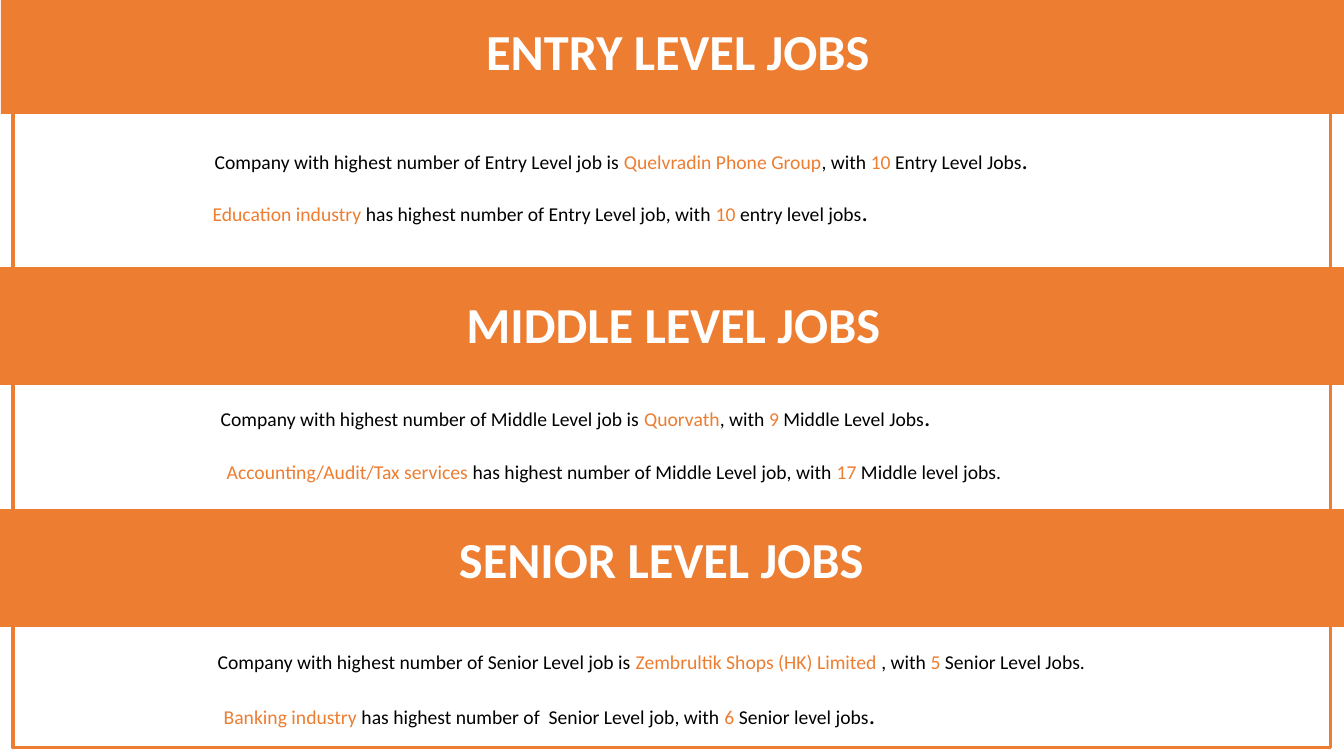
import pptx
import pptx.dml.color
import pptx.enum.shapes
import pptx.enum.text
import pptx.util

Inches = pptx.util.Inches
Pt = pptx.util.Pt
COLORS = {"accent": "ED7D31", "white": "FFFFFF", "text": "000000"}


class JobSlide:
    """Holds the style and the slide, with a method for each kind of element."""

    font = "Calibri"
    heading_size = 36
    body_size = 14
    stop_size = 18

    def __init__(self, prs):
        self.s = prs.slides.add_slide(prs.slide_layouts[5])

    def color(self, name):
        return pptx.dml.color.RGBColor.from_string(COLORS[name])

    def style(self, r, size, color, bold=False):
        r.font.name = self.font
        r.font.size = Pt(size)
        r.font.bold = bold
        r.font.color.rgb = self.color(color)

    def rect(self, left, top, width, height, fill, line=None):
        sp = self.s.shapes.add_shape(
            pptx.enum.shapes.MSO_SHAPE.RECTANGLE,
            Inches(left), Inches(top), Inches(width), Inches(height))
        sp.shadow.inherit = False
        sp.fill.solid()
        sp.fill.fore_color.rgb = self.color(fill)
        if line:
            sp.line.color.rgb = self.color(line)
            sp.line.width = Pt(2.25)
        else:
            sp.line.fill.background()

    def format_heading(self, sp, text):
        tf = sp.text_frame
        tf.text = text
        tf.word_wrap = True
        tf.auto_size = pptx.enum.text.MSO_AUTO_SIZE.NONE
        tf.vertical_anchor = pptx.enum.text.MSO_ANCHOR.TOP
        p = tf.paragraphs[0]
        p.alignment = pptx.enum.text.PP_ALIGN.CENTER
        self.style(p.runs[0], self.heading_size, "white", True)

    def title(self, left, top, width, height, text):
        sp = self.s.shapes.title
        sp.left, sp.top = Inches(left), Inches(top)
        sp.width, sp.height = Inches(width), Inches(height)
        self.format_heading(sp, text)
        sp.element.getparent().append(sp.element)

    def heading(self, left, top, width, height, text):
        sp = self.s.shapes.add_textbox(
            Inches(left), Inches(top), Inches(width), Inches(height))
        self.format_heading(sp, text)

    def fact(self, left, top, text, big_stop=True):
        """Writes one sentence whose parts between bars are highlighted."""
        sp = self.s.shapes.add_textbox(
            Inches(left), Inches(top), Inches(10.58), Inches(0.4))
        tf = sp.text_frame
        tf.word_wrap = True
        p = tf.paragraphs[0]
        for i, part in enumerate(text.split("|")):
            if part:
                r = p.add_run()
                r.text = part
                self.style(r, self.body_size, "accent" if i % 2 else "text")
        if big_stop:
            r = p.add_run()
            r.text = "."
            self.style(r, self.stop_size, "text")


def main():
    prs = pptx.Presentation()
    prs.slide_width, prs.slide_height = Inches(13.33), Inches(7.5)
    slide = JobSlide(prs)

    slide.rect(0.13, 0.09, 13.07, 7.33, "white", "accent")
    for left, top, height in ((0.01, 0, 1.13), (0, 2.65, 1.17), (0, 5.05, 1.17)):
        slide.rect(left, top, 13.33 - left, height, "accent")

    slide.title(4.32, 0.15, 4.81, 0.71, "ENTRY LEVEL JOBS")
    slide.fact(2.03, 1.38, "Company with highest number of Entry Level job is "
               "|Quelvradin Phone Group|, with |10| Entry Level Jobs")
    slide.fact(2.01, 1.9, "|Education industry |has highest number of "
               "Entry Level job, with |10| entry level jobs")

    slide.heading(4.06, 2.86, 5.24, 0.71, "MIDDLE LEVEL JOBS")
    slide.fact(2.09, 3.93, "Company with highest number of Middle Level job is "
               "|Quorvath|, with |9| Middle Level Jobs")
    slide.fact(2.15, 4.51, "|Accounting/Audit/Tax services |has highest number of "
               "Middle Level job, with |17| Middle level jobs.", big_stop=False)

    slide.heading(3.98, 5.19, 5.16, 0.71, "SENIOR LEVEL JOBS")
    slide.fact(2.06, 6.4, "Company with highest number of Senior Level job is "
               "|Zembrultik Shops (HK) Limited |, with |5| Senior Level Jobs.",
               big_stop=False)
    slide.fact(2.12, 6.89, "|Banking industry |has highest number of  "
               "Senior Level job, with |6| Senior level jobs")

    prs.save("out.pptx")


if __name__ == "__main__":
    main()
